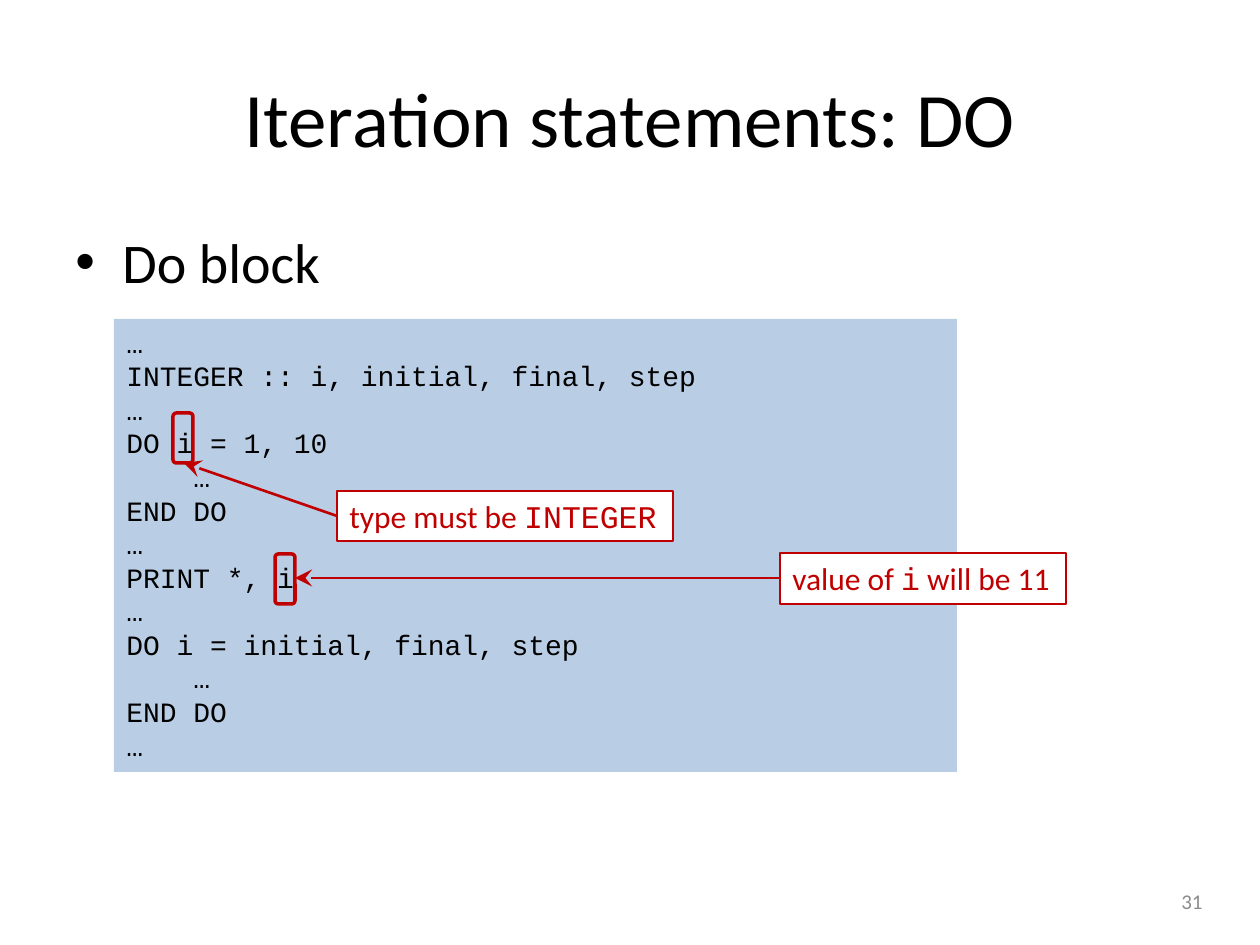
from lxml.etree import SubElement
from pptx import Presentation
from pptx.dml.color import RGBColor
from pptx.enum.shapes import MSO_CONNECTOR, MSO_SHAPE
from pptx.enum.text import MSO_ANCHOR, PP_ALIGN
from pptx.oxml.ns import qn
from pptx.util import Pt

EMU_PER_PX = 914400 / 126
COLORS = {"text": "000000", "code": "B9CDE5", "accent": "C00000", "label": "FFFFFF", "number": "8C8C8C"}


def px(*lengths):
    return [round(length * EMU_PER_PX) for length in lengths]


def write(shape, lines, size, color, frame_format, align=PP_ALIGN.LEFT):
    frame = shape.text_frame
    for name, value in frame_format.items():
        setattr(frame, name, value)
    for index, line in enumerate(lines):
        paragraph = frame.paragraphs[0] if index == 0 else frame.add_paragraph()
        paragraph.alignment = align
        for text, typeface in line:
            run = paragraph.add_run()
            run.text = text
            for name, value in {"size": Pt(size), "name": typeface}.items():
                setattr(run.font, name, value)
            run.font.color.rgb = RGBColor.from_string(COLORS[color])


presentation = Presentation()
presentation.slide_width, presentation.slide_height = px(1260, 945)
slide = presentation.slides.add_slide(presentation.slide_layouts[6])
shapes = slide.shapes

wrapped = {"word_wrap": True, "vertical_anchor": MSO_ANCHOR.TOP}
centred = {"word_wrap": True, "vertical_anchor": MSO_ANCHOR.MIDDLE}
unwrapped = {"word_wrap": False, "vertical_anchor": MSO_ANCHOR.TOP}

title = shapes.add_textbox(*px(63, 38, 1134, 157))
write(title, [[("Iteration statements: DO", "Calibri")]], 44, "text", centred, PP_ALIGN.CENTER)

topic = shapes.add_textbox(*px(63, 221, 1134, 624))
write(topic, [[("Do block", "Calibri")]], 32, "text", wrapped)
topic_properties = topic.text_frame.paragraphs[0]._p.get_or_add_pPr()
indent = px(47)[0]
topic_properties.set("marL", str(indent))
topic_properties.set("indent", str(-indent))
SubElement(topic_properties, qn("a:buFont"), typeface="Arial")
SubElement(topic_properties, qn("a:buChar"), char="•")

code_lines = """…
INTEGER :: i, initial, final, step
…
DO i = 1, 10
    …
END DO
…
PRINT *, i
…
DO i = initial, final, step
    …
END DO
…""".split("\n")
code = shapes.add_shape(MSO_SHAPE.RECTANGLE, *px(114, 319, 843, 453))
code.shadow.inherit = False
code.fill.solid()
code.fill.fore_color.rgb = RGBColor.from_string(COLORS["code"])
code.line.fill.background()
write(code, [[(line, "Courier New")] for line in code_lines], 16, "text", wrapped)

notes = [
    ((173, 413, 20, 50), (337, 491, 336, 50), (337, 516, 184, 463),
     [("type must be ", "Calibri"), ("INTEGER", "Courier New")]),
    ((275, 554, 20, 50), (780, 553, 286, 51), (780, 578, 295, 578),
     [("value of ", "Calibri"), ("i", "Courier New"), (" will be 11", "Calibri")]),
]
for variable_box, label_box, arrow_ends, wording in notes:
    variable = shapes.add_shape(MSO_SHAPE.ROUNDED_RECTANGLE, *px(*variable_box))
    variable.fill.background()
    label = shapes.add_shape(MSO_SHAPE.RECTANGLE, *px(*label_box))
    label.fill.solid()
    label.fill.fore_color.rgb = RGBColor.from_string(COLORS["label"])
    write(label, [wording], 18, "accent", unwrapped)
    arrow = shapes.add_connector(MSO_CONNECTOR.STRAIGHT, *px(*arrow_ends))
    for outlined, width in ((variable, 2), (label, 0.75), (arrow, 1.5)):
        outlined.line.width = Pt(width)
        outlined.line.color.rgb = RGBColor.from_string(COLORS["accent"])
    variable.shadow.inherit = False
    label.shadow.inherit = False
    SubElement(arrow.line._get_or_add_ln(), qn("a:tailEnd"), type="stealth", w="lg", len="lg")
    SubElement(arrow._element.spPr, qn("a:effectLst"))

number = shapes.add_textbox(*px(921, 876, 294, 50))
write(number, [[("31", "Calibri")]], 12, "number", centred, PP_ALIGN.RIGHT)

presentation.save("out.pptx")
